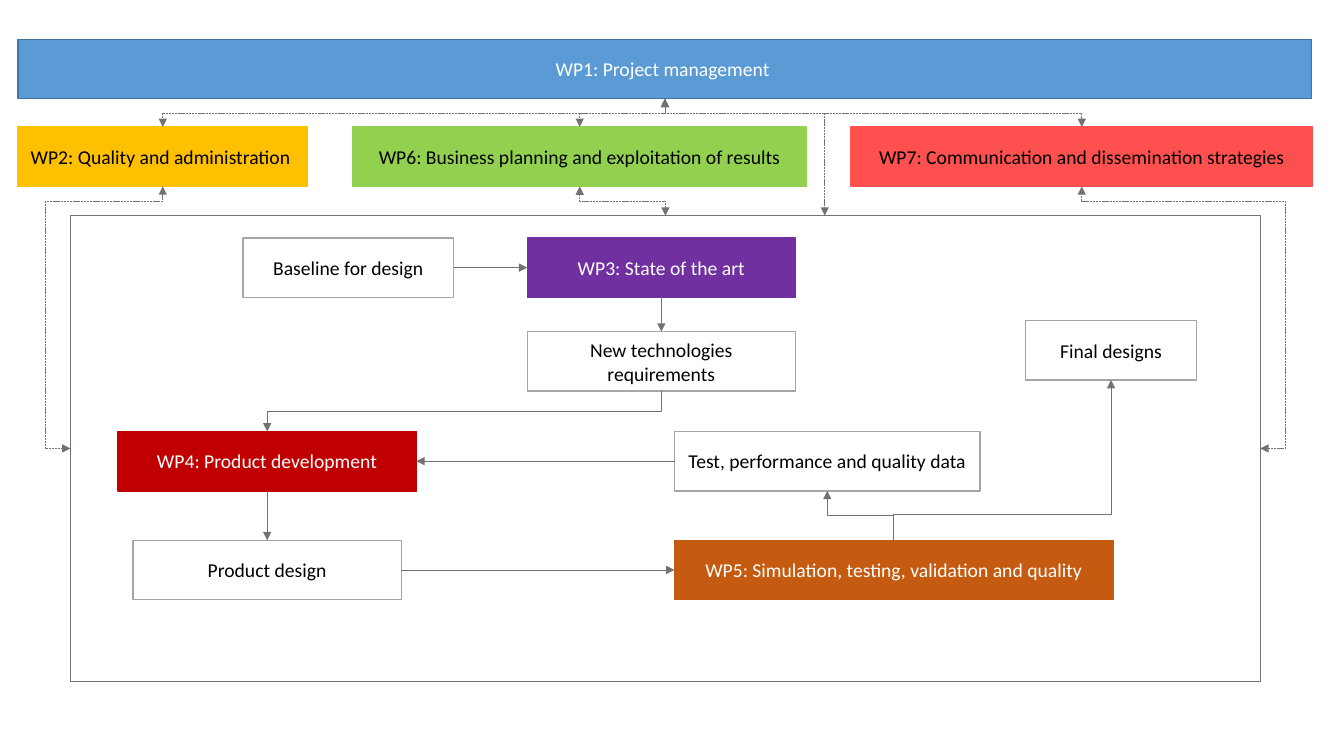
from lxml.etree import SubElement
from pptx import Presentation
from pptx.dml.color import RGBColor as RGB
from pptx.enum.dml import MSO_LINE as Dash
from pptx.enum.shapes import MSO_CONNECTOR as Link, MSO_SHAPE as Shape
from pptx.enum.text import MSO_ANCHOR as Anchor, PP_ALIGN as Align
from pptx.oxml.ns import qn
from pptx.util import Inches, Pt

COLORS = {
    "white": "FFFFFF", "black": "000000", "gray": "767171", "edge": "A5A5A5",
    "blue": "5B9BD5", "navy": "43739E", "gold": "FFC000", "green": "92D050",
    "coral": "FF5050", "purple": "7030A0", "red": "C00000", "rust": "C55A11",
}
HIGH = 0.59  # height of every labelled box
TOP, LEFT, BOTTOM, RIGHT = range(4)  # connection sites of a rectangle


def color(name):
    """Return the named colour."""
    return RGB.from_string(COLORS[name])


def port(box, site):
    """Return the point at the middle of one side of a box."""
    x, y = box.left + box.width // 2, box.top + box.height // 2
    return {TOP: (x, box.top), BOTTOM: (x, box.top + box.height),
            LEFT: (box.left, y), RIGHT: (box.left + box.width, y)}[site]


class Chart:
    """Draw the boxes and arrows of a work package diagram."""

    def __init__(self, slide, font="Calibri", size=14):
        """Keep the slide and the text style."""
        self.shapes = slide.shapes
        self.font, self.size = font, size

    def frame(self, x, y, wide, high, edge, fill=None):
        """Add a rectangle, without fill unless one is named."""
        box = self.shapes.add_shape(
            Shape.RECTANGLE, Inches(x), Inches(y), Inches(wide), Inches(high))
        box.shadow.inherit = False
        if fill:
            box.fill.solid()
            box.fill.fore_color.rgb = color(fill)
        else:
            box.fill.background()
        box.line.color.rgb = color(edge)
        box.line.width = Pt(1)
        return box

    def box(self, text, x, y, wide, fill="white", ink="black", edge=None):
        """Add a box with a centred label."""
        edge = edge or ("edge" if fill == "white" else fill)
        box = self.frame(x, y, wide, HIGH, edge, fill)
        box.text_frame.word_wrap = True
        box.text_frame.vertical_anchor = Anchor.MIDDLE
        label = box.text_frame.paragraphs[0]
        label.text, label.alignment = text, Align.CENTER
        label.font.name, label.font.size = self.font, Pt(self.size)
        label.font.color.rgb = color(ink)
        return box

    def line(self, start, end, kind=Link.STRAIGHT, dash=False, both=False):
        """Add an arrow from start to end, dashed or two-headed on request."""
        link = self.shapes.add_connector(kind, *start, *end)
        link.line.color.rgb = color("gray")
        link.line.width = Pt(0.5)
        if dash:
            link.line.dash_style = Dash.SQUARE_DOT
        props = link.element.spPr
        for tag in ("headEnd", "tailEnd") if both else ("tailEnd",):
            SubElement(props.find(qn("a:ln")), qn("a:" + tag), type="triangle")
        SubElement(props, qn("a:effectLst"))
        return link

    def join(self, start, out, end, into):
        """Add a straight arrow glued to the sides of two boxes."""
        link = self.line(port(start, out), port(end, into))
        link.begin_connect(start, out)
        link.end_connect(end, into)

    def guide(self, link, *parts):
        """Set the bends of an elbow as fractions of its size."""
        geom = link.element.spPr.find(qn("a:prstGeom"))
        geom.set("prst", f"bentConnector{len(parts) + 2}")
        marks = geom.find(qn("a:avLst"))
        for num, part in enumerate(parts, 1):
            SubElement(marks, qn("a:gd"), name=f"adj{num}",
                       fmla=f"val {round(part * 100000)}")

    def step(self, start, end, bend=0.5, **style):
        """Add an elbow that leaves and arrives vertically."""
        (x1, y1), (x2, y2) = start, end
        midx, midy = (x1 + x2) // 2, (y1 + y2) // 2
        down = y2 > y1
        half = abs(y2 - y1) // 2
        rise = (x1 - x2 if down else x2 - x1) // 2
        link = self.line((midx - half, midy - rise), (midx + half, midy + rise),
                         Link.ELBOW, **style)
        turn = 90 if down else 270
        link.element.spPr.find(qn("a:xfrm")).set("rot", str(turn * 60000))
        self.guide(link, bend)

    def loop(self, start, end, lane, level, **style):
        """Add an elbow that goes out to a lane, then along a level to end."""
        link = self.line(start, end, Link.ELBOW, **style)
        self.guide(link, (lane - start[0]) / (end[0] - start[0]),
                   (level - start[1]) / (end[1] - start[1]))


deck = Presentation()
deck.slide_width, deck.slide_height = Inches(13.33), Inches(7.5)
chart = Chart(deck.slides.add_slide(deck.slide_layouts[6]))

# Boxes
core = chart.frame(0.7, 2.14, 11.8, 4.62, "gray")
manage = chart.box("WP1: Project management ", 0.18, 0.39, 12.83,
                   "blue", "white", "navy")
admin = chart.box("WP2: Quality and administration ", 0.18, 1.26, 2.87, "gold")
plan = chart.box("WP6: Business planning and exploitation of results",
                 3.5, 1.26, 4.5, "green")
spread = chart.box("WP7: Communication and dissemination strategies",
                   8.44, 1.26, 4.58, "coral")
state = chart.box("WP3: State of the art", 5.23, 2.36, 2.66, "purple", "white")
build = chart.box("WP4: Product development", 1.17, 4.28, 2.96, "red", "white")
check = chart.box("WP5: Simulation, testing, validation and quality",
                  6.69, 5.36, 4.35, "rust", "white")
base = chart.box("Baseline for design", 2.41, 2.36, 2.09)
needs = chart.box("New technologies requirements", 5.23, 3.29, 2.66)
design = chart.box("Product design", 1.32, 5.36, 2.66)
data = chart.box("Test, performance and quality data", 6.69, 4.28, 3.03)
final = chart.box("Final designs", 10.17, 3.18, 1.7)

# Dashed links between management, support and the core
DASHED = {"dash": True, "both": True}
for pack in (admin, plan, spread):
    chart.step(port(manage, BOTTOM), port(pack, TOP), **DASHED)
chart.step(port(core, TOP), port(plan, BOTTOM), **DASHED)
for side, pack, lane in ((LEFT, admin, 0.45), (RIGHT, spread, 12.75)):
    chart.loop(port(core, side), port(pack, BOTTOM), Inches(lane), Inches(2),
               **DASHED)
chart.line((Inches(8.18), Inches(1.12)), (Inches(8.18), core.top), dash=True)

# Solid flow inside the core
for start, out, end, into in (
    (base, RIGHT, state, LEFT),
    (state, BOTTOM, needs, TOP),
    (build, BOTTOM, design, TOP),
    (design, RIGHT, check, LEFT),
    (data, LEFT, build, RIGHT),
):
    chart.join(start, out, end, into)
chart.step(port(needs, BOTTOM), port(build, TOP))
chart.step(port(check, TOP), port(data, BOTTOM))
chart.step(port(check, TOP), port(final, BOTTOM), bend=0.16)

deck.save("out.pptx")
